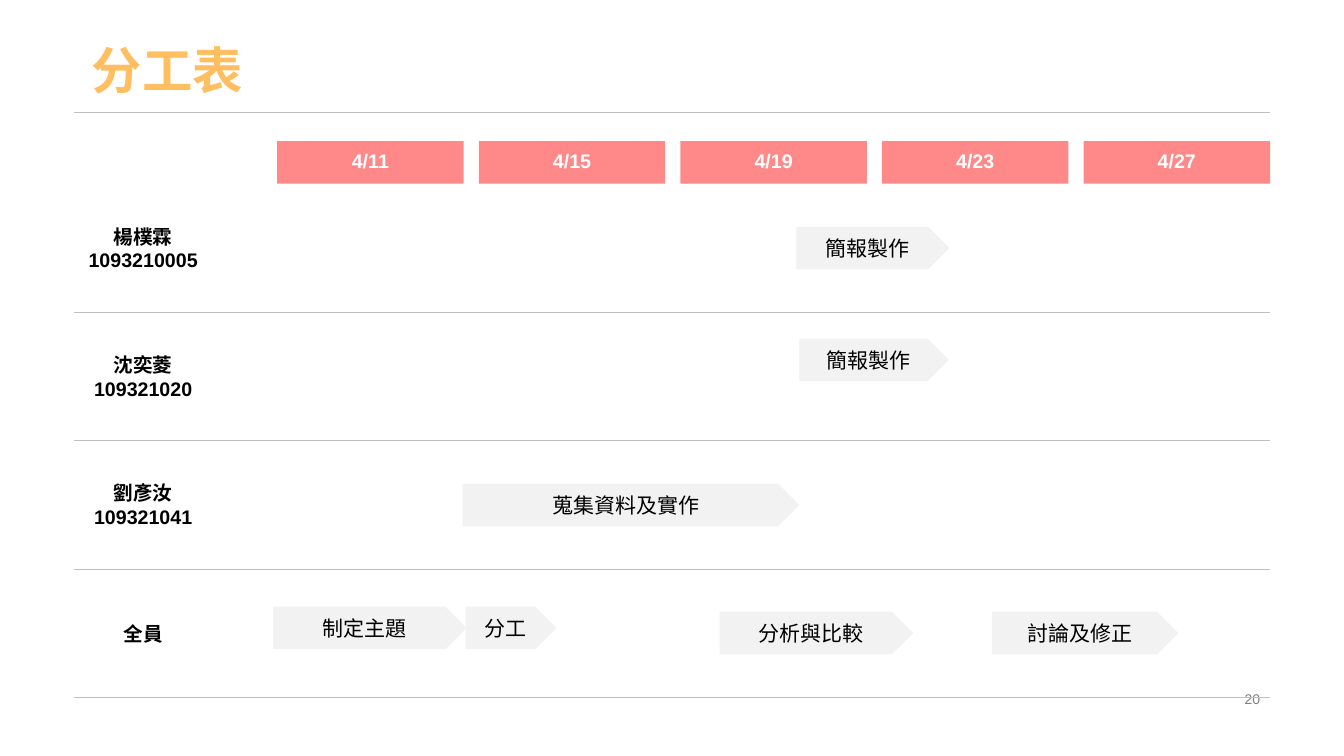
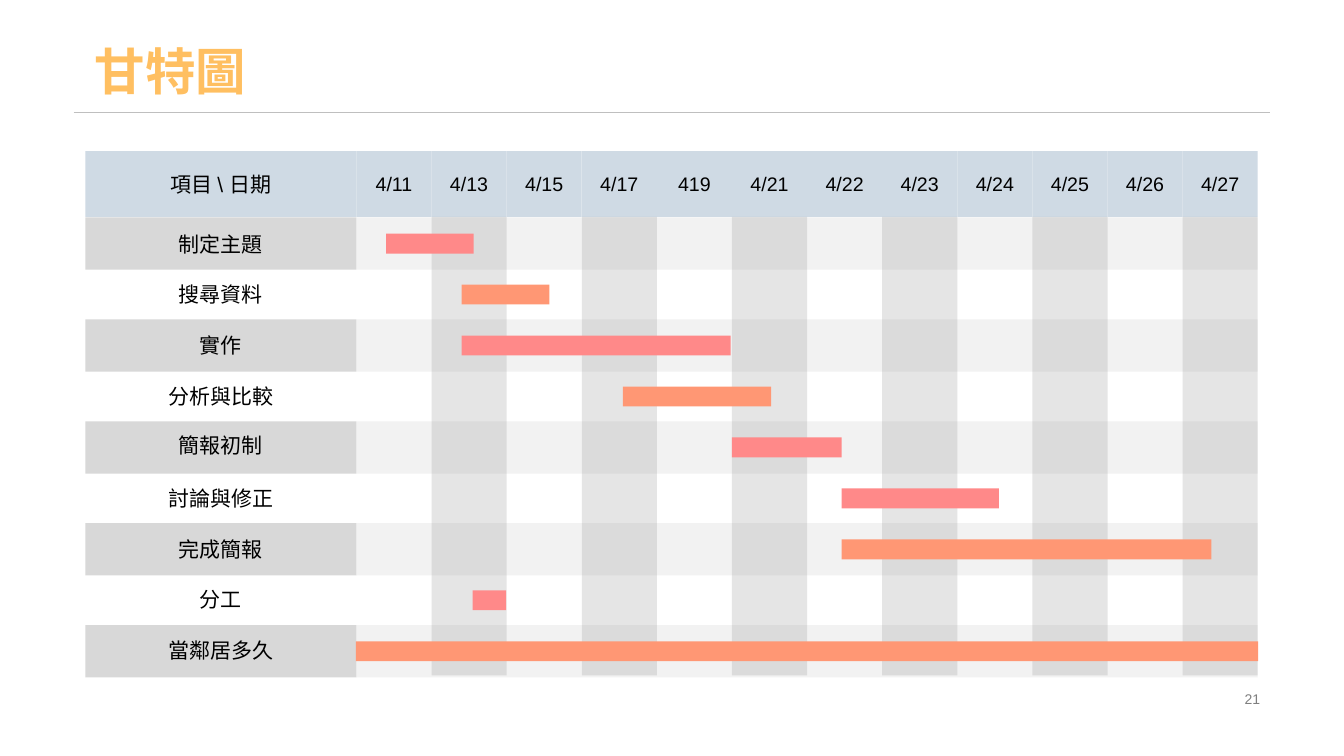
import lxml.etree
import pptx
import pptx.dml.color
import pptx.enum.shapes
import pptx.enum.text
import pptx.oxml.ns
import pptx.util

Pt = pptx.util.Pt
qn = pptx.oxml.ns.qn
Shape = pptx.enum.shapes.MSO_SHAPE
Align = pptx.enum.text.PP_ALIGN
Anchor = pptx.enum.text.MSO_ANCHOR

COLORS = {
    "title": "FFBF61", "rule": "BFBFBF", "page": "7F7F7F",
    "white": "FFFFFF", "black": "000000",
    "pink": "FF8989", "orange": "FF9774", "task": "F2F2F2",
    "header": "CFDAE4", "label": "D8D8D8",
    "stripe": "BFBFBF", "band": "7F7F7F",
}
FONT = "Arial"
LEFT, RIGHT = 52.6, 907.2
BAR_HEIGHT = 30.4


def rgb(name):
    return pptx.dml.color.RGBColor.from_string(COLORS[name])


def write(tf, text, size=15, color="black", bold=False, align=Align.CENTER,
          anchor=Anchor.MIDDLE, spacing=None):
    """Put text into a frame, one paragraph per line, in one format."""
    tf.text = text
    tf.word_wrap = True
    tf.auto_size = pptx.enum.text.MSO_AUTO_SIZE.NONE
    tf.vertical_anchor = anchor
    for p in tf.paragraphs:
        p.alignment = align
        if spacing:
            p.line_spacing = spacing
        for r in p.runs:
            r.font.name = FONT
            r.font.size = Pt(size)
            r.font.bold = bold
            r.font.color.rgb = rgb(color)


class Deck:
    """Shared style plus the slide being drawn."""

    def __init__(self):
        self.prs = pptx.Presentation()
        self.prs.slide_width, self.prs.slide_height = Pt(960), Pt(540)
        self.slide = None

    def new_slide(self, title, page, x, y):
        self.slide = self.prs.slides.add_slide(self.prs.slide_layouts[5])
        self.rule(80.6)
        sp = self.slide.shapes.title
        sp.left, sp.top, sp.width, sp.height = Pt(x), Pt(y), Pt(854.6), Pt(80.6)
        write(sp.text_frame, title, size=36, color="title", bold=True,
              align=Align.LEFT, anchor=Anchor.BOTTOM, spacing=0.9)
        self.text(678.2, 491, 229, 16.6, str(page), size=10, color="page",
                  align=Align.RIGHT)

    def rule(self, y):
        cxn = self.slide.shapes.add_connector(
            pptx.enum.shapes.MSO_CONNECTOR.STRAIGHT,
            Pt(LEFT), Pt(y), Pt(RIGHT), Pt(y))
        cxn.line.color.rgb = rgb("rule")
        cxn.line.width = Pt(0.75)
        lxml.etree.SubElement(cxn.element.spPr, qn("a:effectLst"))

    def text(self, x, y, w, h, text, **fmt):
        sp = self.slide.shapes.add_textbox(Pt(x), Pt(y), Pt(w), Pt(h))
        write(sp.text_frame, text, **fmt)

    def box(self, x, y, w, h, fill, text="", kind=Shape.RECTANGLE, alpha=None,
            **fmt):
        sp = self.slide.shapes.add_shape(kind, Pt(x), Pt(y), Pt(w), Pt(h))
        sp.shadow.inherit = False
        sp.line.fill.background()
        sp.fill.solid()
        sp.fill.fore_color.rgb = rgb(fill)
        if alpha is not None:
            clr = sp.element.spPr.find(qn("a:solidFill"))[0]
            lxml.etree.SubElement(clr, qn("a:alpha"), val=str(alpha * 1000))
        if text:
            write(sp.text_frame, text, **fmt)


def work_plan(deck):
    deck.new_slide("分工表", 20, 58.3, -5)

    # Date headers
    for i, date in enumerate(["4/11", "4/15", "4/19", "4/23", "4/27"]):
        deck.box(198 + 144 * i, 100.8, 133.2, BAR_HEIGHT, "pink", date,
                 size=14, color="white", bold=True, spacing=0.9)

    # One row per member, closed by a rule
    top, row_h = 131.4, 91.7
    members = ["楊樸霖\n1093210005", "沈奕菱\n109321020",
               "劉彥汝\n109321041", "全員"]
    for i, member in enumerate(members):
        y = top + row_h * i
        deck.text(53.3, y, 98, row_h, member, size=14, bold=True)
        deck.rule(y + row_h)

    # Tasks: text, left, top, width
    tasks = [
        ("簡報製作", 568.8, 162, 109.4),
        ("簡報製作", 571, 241.9, 106.6),
        ("蒐集資料及實作", 330.5, 345.6, 240.5),
        ("分工", 332.6, 433.4, 64.8),
        ("制定主題", 195.1, 433.4, 138.2),
        ("分析與比較", 514.1, 437, 138.2),
        ("討論及修正", 708.5, 437, 133.2),
    ]
    for name, x, y, w in tasks:
        deck.box(x, y, w, BAR_HEIGHT, "task", name, kind=Shape.PENTAGON)


def gantt(deck):
    deck.new_slide("甘特圖", 21, 60.5, -4.3)
    label_x, label_w = 61, 193.6
    grid_x, col_w = 254.6, 53.65
    head_y, head_h = 108, 47
    grid_y, row_h, stripe_h = 155.3, 36.4, 37.4
    dates = ["4/11", "4/13", "4/15", "4/17", "419", "4/21",
             "4/22", "4/23", "4/24", "4/25", "4/26", "4/27"]
    # Rows: label, line spacing, bar left, bar width, bar colour
    rows = [
        ("制定主題", None, 275.8, 62.6, "pink"),
        ("搜尋資料", None, 329.8, 62.6, "orange"),
        ("實作", None, 329.8, 192.2, "pink"),
        ("分析與比較", None, 445, 105.8, "orange"),
        ("簡報初制", 0.8, 522.7, 78.5, "pink"),
        ("討論與修正", None, 601.2, 112.3, "pink"),
        ("完成簡報", None, 601.2, 264.2, "orange"),
        ("分工", 0.9, 337.7, 23.8, "pink"),
        ("當鄰居多久", 0.9, 254.2, 644.4, "orange"),
    ]

    # Row stripes and labels
    for i, (label, spacing, *_) in enumerate(rows):
        y = grid_y + row_h * i
        if i % 2 == 0:
            deck.box(grid_x, y, col_w * len(dates), stripe_h, "stripe", alpha=20)
            deck.box(label_x, y, label_w, stripe_h, "label")
        deck.text(label_x, y, label_w, stripe_h, label, spacing=spacing)

    # Header cells and column bands
    deck.box(label_x, head_y, label_w, head_h, "header", "項目 \\ 日期")
    for i, date in enumerate(dates):
        x = grid_x + col_w * i
        deck.box(x, head_y, col_w, head_h, "header", date, size=14)
        if i % 2:
            deck.box(x, head_y + head_h, col_w, 327.4, "band", alpha=20)

    # Bars, centred in their rows
    bar_h = 14.2
    for i, (_, _, x, w, color) in enumerate(rows):
        y = grid_y + row_h * i + (stripe_h - bar_h) / 2
        deck.box(x, y, w, bar_h, color)


def main():
    deck = Deck()
    work_plan(deck)
    gantt(deck)
    deck.prs.save("out.pptx")


if __name__ == "__main__":
    main()
